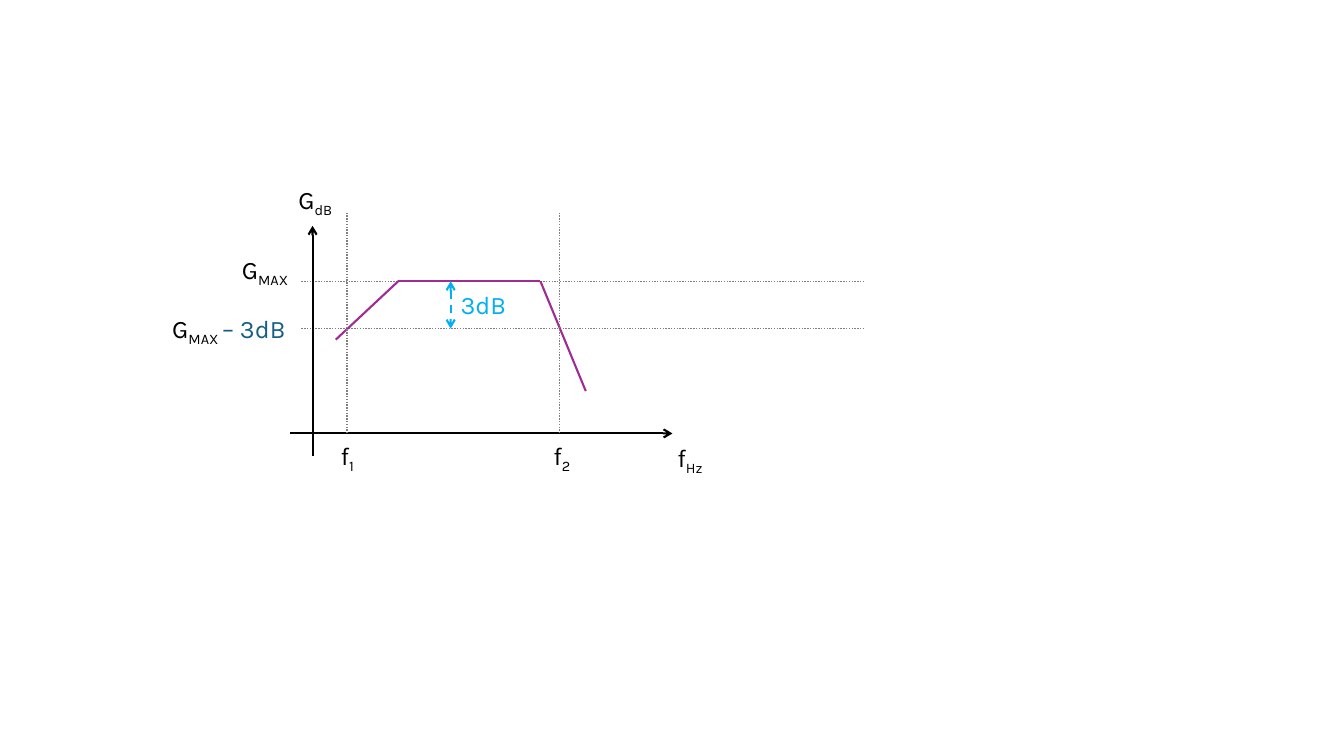
"""Build a slide with the gain-frequency plot of a band-pass amplifier."""
from pptx import Presentation
from pptx.dml.color import RGBColor
from pptx.enum.dml import MSO_LINE
from pptx.enum.shapes import MSO_CONNECTOR
from pptx.enum.text import MSO_AUTO_SIZE
from pptx.oxml.ns import qn
from pptx.util import Inches, Pt
from lxml.etree import SubElement

BLACK = RGBColor(0x00, 0x00, 0x00)
GRAY = RGBColor(0x80, 0x80, 0x80)
PURPLE = RGBColor(0xA0, 0x2B, 0x93)
CYAN = RGBColor(0x00, 0xB0, 0xF0)
TEAL = RGBColor(0x15, 0x60, 0x82)

GUIDE = {"color": GRAY, "width": 1, "dash_style": MSO_LINE.ROUND_DOT}
AXIS = {"color": BLACK, "width": 1.5, "ends": ["tailEnd"]}
CURVE = {"color": PURPLE, "width": 1.5}
DROP = {"color": CYAN, "width": 1.5, "dash_style": MSO_LINE.DASH, "ends": ["headEnd", "tailEnd"]}

prs = Presentation()
prs.slide_width, prs.slide_height = Inches(13.33), Inches(7.5)
slide = prs.slides.add_slide(prs.slide_layouts[6])


def draw_line(start, end, style):
    connector = slide.shapes.add_connector(
        MSO_CONNECTOR.STRAIGHT, *[Inches(v) for v in (*start, *end)])
    line = connector.line
    line.color.rgb = style["color"]
    line.width = Pt(style["width"])
    line.dash_style = style.get("dash_style")
    for end_tag in style.get("ends", []):
        SubElement(line._get_or_add_ln(), qn(f"a:{end_tag}"), type="arrow")
    SubElement(connector._element.spPr, qn("a:effectLst"))


def write_label(left, top, width, runs, wrap=False):
    frame = slide.shapes.add_textbox(
        Inches(left), Inches(top), Inches(width), Inches(0.4)).text_frame
    frame.word_wrap = wrap
    frame.auto_size = MSO_AUTO_SIZE.SHAPE_TO_FIT_TEXT
    for text, color, subscript in runs:
        run = frame.paragraphs[0].add_run()
        run.text = text
        for attribute, value in {"name": "Karla", "size": Pt(18)}.items():
            setattr(run.font, attribute, value)
        run.font.color.rgb = color
        if subscript:
            run.font._element.set("baseline", "-25000")


gain_max, gain_cutoff, axis_y = 2.79, 3.26, 4.3
axis_x, low_cutoff, high_cutoff = 3.1, 3.44, 5.55

for gain in (gain_cutoff, gain_max):
    draw_line((2.99, gain), (8.58, gain), GUIDE)
draw_line((2.88, axis_y), (6.67, axis_y), AXIS)
draw_line((axis_x, 4.52), (axis_x, 2.24), AXIS)

response = [(3.33, 3.37), (3.95, gain_max), (5.36, gain_max), (5.81, 3.88)]
for start, end in zip(response, response[1:]):
    draw_line(start, end, CURVE)
for cutoff in (low_cutoff, high_cutoff):
    draw_line((cutoff, 2.11), (cutoff, axis_y), GUIDE)
draw_line((4.47, gain_max), (4.47, gain_cutoff), DROP)

for left, top, width, symbol, subscript, suffix in [
    (2.86, 1.78, 0.58, "G", "dB", ""),
    (6.62, 4.34, 0.47, "f", "Hz", ""),
    (2.3, 2.47, 0.71, "G", "MAX", ""),
    (1.61, 3.06, 1.35, "G", "MAX ", "– 3dB"),
    (3.28, 4.32, 0.37, "f", "1", ""),
    (5.39, 4.32, 0.37, "f", "2", ""),
]:
    runs = [(symbol, BLACK, False), (subscript, BLACK, True)]
    if suffix:
        runs.append((suffix, TEAL, False))
    write_label(left, top, width, runs)
write_label(4.47, 2.82, 0.65, [("3dB", CYAN, False)], wrap=True)

prs.save("out.pptx")
